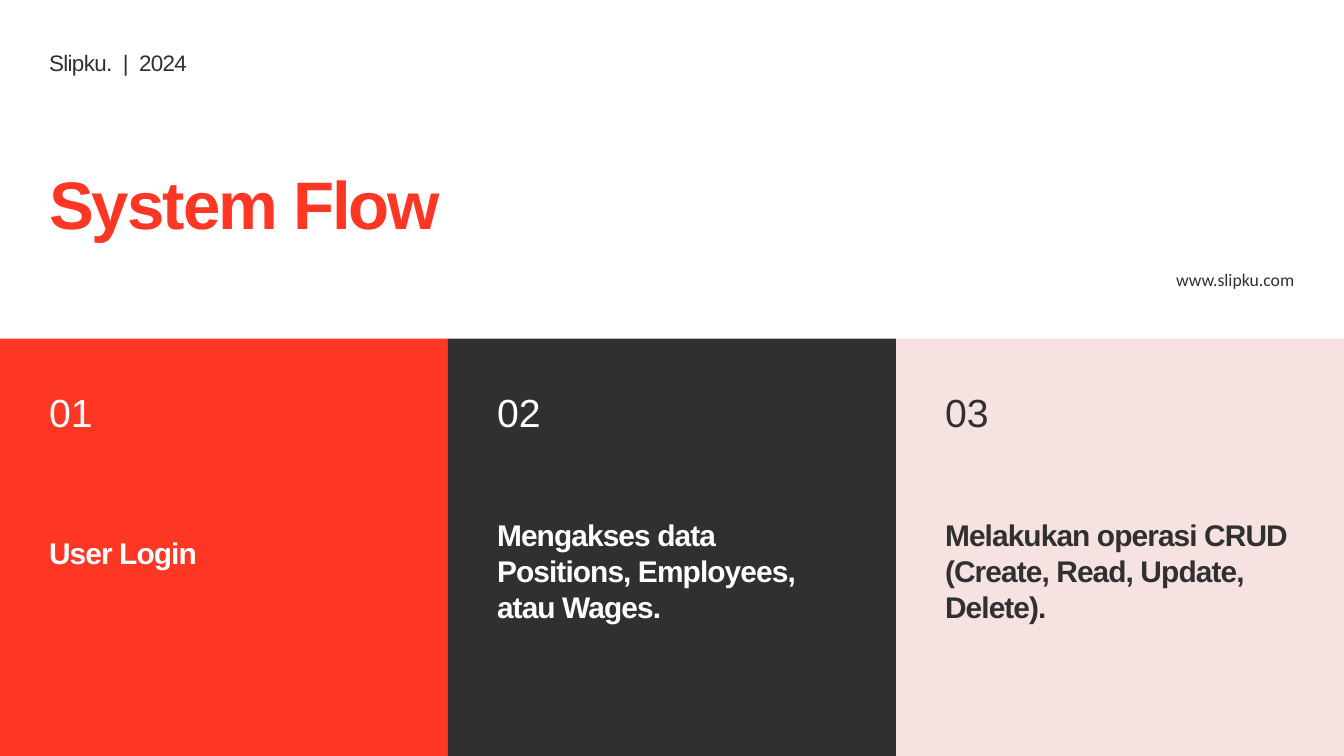
"""Build the System Flow slide with three numbered step panels."""
import pptx
import pptx.dml.color
import pptx.enum.shapes
import pptx.enum.text
import pptx.util

Inches = pptx.util.Inches
RGBColor = pptx.dml.color.RGBColor
ALIGN = pptx.enum.text.PP_ALIGN

RED = RGBColor(0xFE, 0x37, 0x25)
DARK = RGBColor(0x30, 0x30, 0x30)
PINK = RGBColor(0xF6, 0xE2, 0xE0)
WHITE = RGBColor(0xFF, 0xFF, 0xFF)

WIDTH, HEIGHT = 20, 11.25
MARGIN = 0.73
PANEL_TOP = 5.04

STYLES = {
    "title": {"size": 72, "name": "Arial", "bold": True, "spacing": -2.1, "line": 72},
    "step": {"size": 32, "name": "Arial", "bold": True, "spacing": -1, "line": 38.4},
    "number": {"size": 42, "name": "Arial", "bold": False, "spacing": 0, "line": 50.4},
    "address": {"size": 19, "name": "Calibri", "bold": False, "spacing": 0, "line": 22.8},
    "label": {"size": 24, "name": "Arial", "bold": False, "spacing": -0.7, "line": 28.8},
}

HEADINGS = [
    ("System Flow", "title", (MARGIN, 2.61, 12.6, 1.05), RED, ALIGN.LEFT),
    ("www.slipku.com", "address", (14.94, 4, 4.32, 0.31), DARK, ALIGN.RIGHT),
    ("Slipku.  |  2024", "label", (MARGIN, 0.73, 6, 0.4), DARK, ALIGN.LEFT),
]

STEPS = [
    ("01", "User Login", RED, WHITE, (7.96, 0.53)),
    ("02", "Mengakses data Positions, Employees, atau Wages.", DARK, WHITE, (7.69, 1.59)),
    ("03", "Melakukan operasi CRUD (Create, Read, Update, Delete).", PINK, DARK, (7.69, 1.59)),
]


def add_text(slide, text, style_name, box, color, alignment=ALIGN.LEFT):
    style = STYLES[style_name]
    frame = slide.shapes.add_textbox(*map(Inches, box)).text_frame
    frame_format = {
        "margin_left": 0, "margin_top": 0, "margin_right": 0, "margin_bottom": 0,
        "word_wrap": True,
        "auto_size": pptx.enum.text.MSO_AUTO_SIZE.SHAPE_TO_FIT_TEXT,
    }
    for attribute, value in frame_format.items():
        setattr(frame, attribute, value)
    paragraph = frame.paragraphs[0]
    paragraph.alignment = alignment
    paragraph.line_spacing = pptx.util.Pt(style["line"])
    run = paragraph.add_run()
    run.text = text
    font_format = {
        "size": pptx.util.Pt(style["size"]), "name": style["name"], "bold": style["bold"],
    }
    for attribute, value in font_format.items():
        setattr(run.font, attribute, value)
    run.font.color.rgb = color
    if style["spacing"]:
        run.font._element.set("spc", str(round(style["spacing"] * 100)))


def add_panel(slide, left, width, color):
    box = (left, PANEL_TOP, width, HEIGHT - PANEL_TOP)
    panel = slide.shapes.add_shape(
        pptx.enum.shapes.MSO_SHAPE.RECTANGLE, *map(Inches, box))
    panel.shadow.inherit = False
    panel.fill.solid()
    panel.fill.fore_color.rgb = color
    panel.line.fill.background()


def main():
    presentation = pptx.Presentation()
    presentation.slide_width = Inches(WIDTH)
    presentation.slide_height = Inches(HEIGHT)
    slide = presentation.slides.add_slide(presentation.slide_layouts[6])
    slide.background.fill.solid()
    slide.background.fill.fore_color.rgb = WHITE

    panel_width = WIDTH / len(STEPS)
    for index, (number, step, fill, color, (top, height)) in enumerate(STEPS):
        left = index * panel_width
        add_panel(slide, left, panel_width, fill)
        add_text(slide, number, "number", (left + MARGIN, 5.78, 2.6, 0.7), color)
        add_text(slide, step, "step", (left + MARGIN, top, 5.2, height), color)

    for heading in HEADINGS:
        add_text(slide, *heading)

    presentation.save("out.pptx")


if __name__ == "__main__":
    main()
